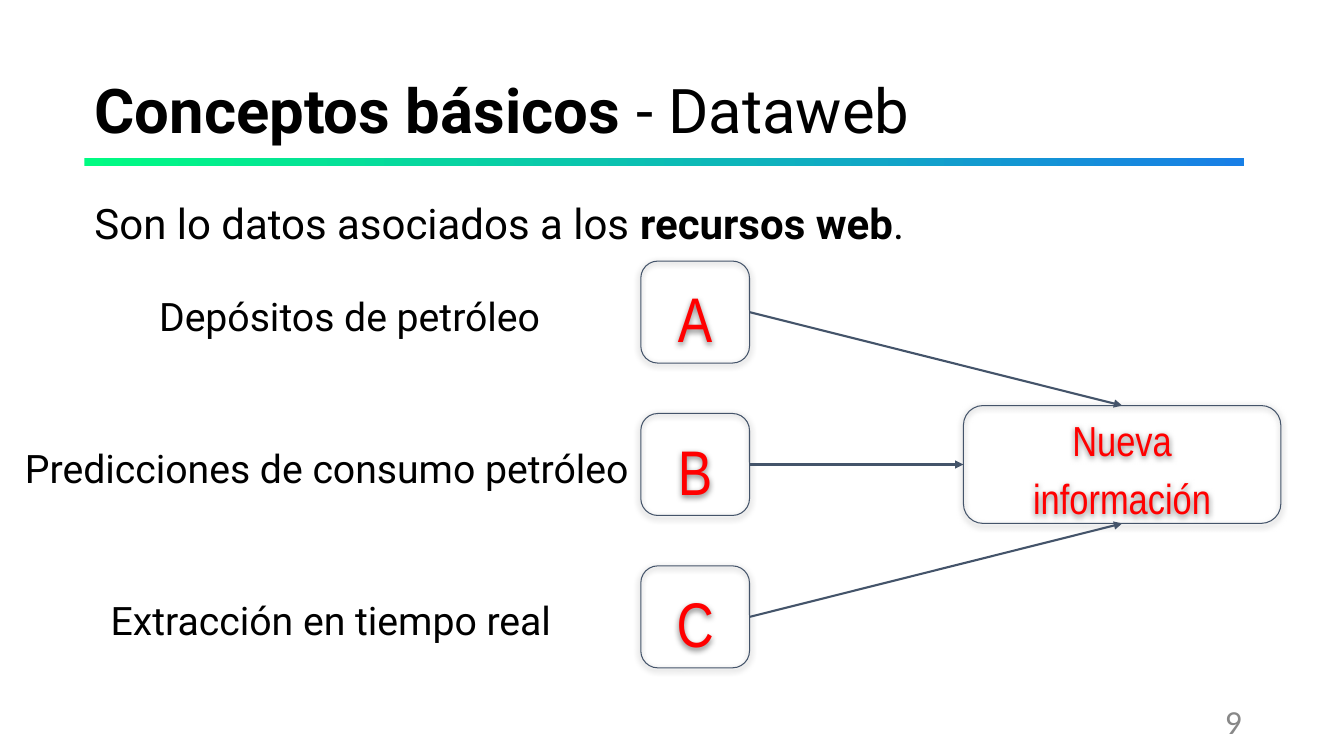
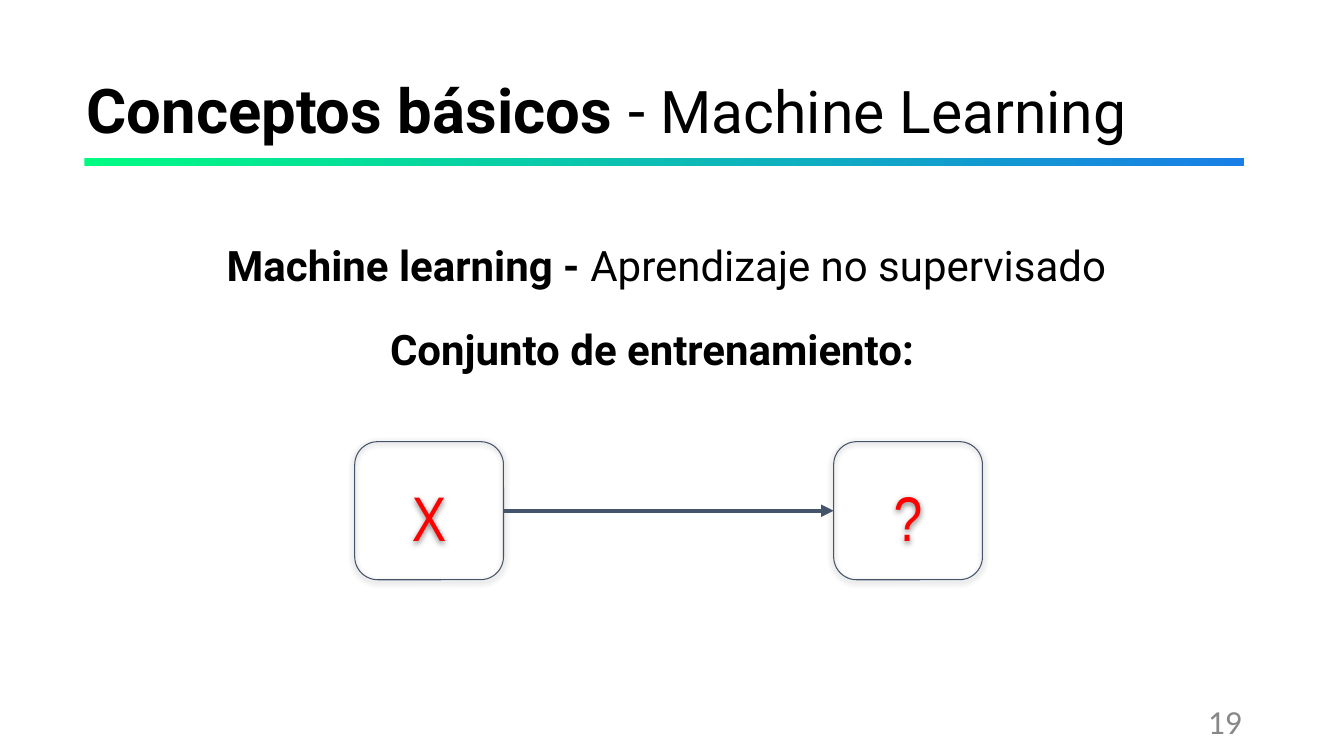
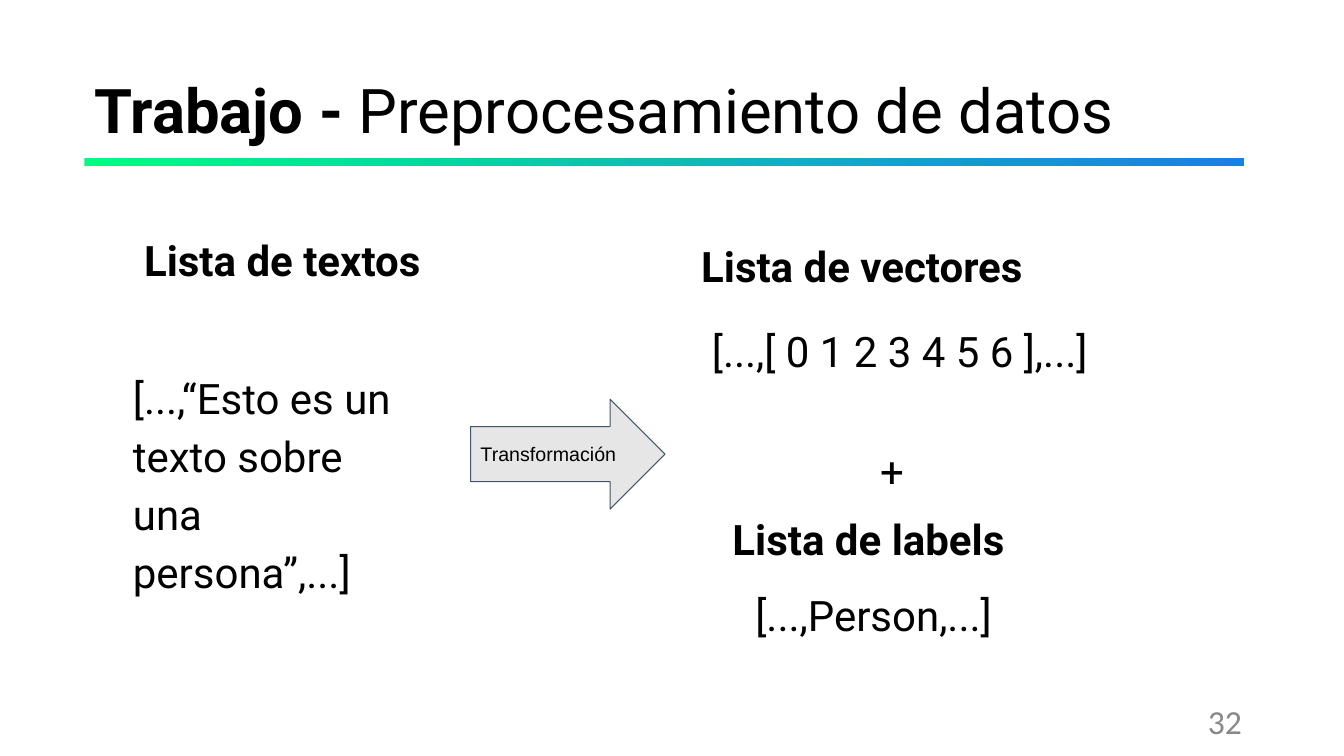
"""Build three slides on data concepts and text preprocessing."""
from dataclasses import dataclass

from lxml import etree
from pptx import Presentation
from pptx.dml.color import RGBColor
from pptx.enum.shapes import MSO_CONNECTOR, MSO_SHAPE
from pptx.enum.text import MSO_ANCHOR, MSO_AUTO_SIZE, PP_ALIGN
from pptx.oxml.ns import qn
from pptx.shapes.autoshape import Shape
from pptx.slide import Slide, SlideLayout
from pptx.text.text import TextFrame
from pptx.util import Cm, Pt

LEFT, CENTER, RIGHT = PP_ALIGN.LEFT, PP_ALIGN.CENTER, PP_ALIGN.RIGHT
TOP, MIDDLE = MSO_ANCHOR.TOP, MSO_ANCHOR.MIDDLE
ROUNDED, RECTANGLE, ARROW = (
    MSO_SHAPE.ROUNDED_RECTANGLE, MSO_SHAPE.RECTANGLE, MSO_SHAPE.RIGHT_ARROW)
STRAIGHT = MSO_CONNECTOR.STRAIGHT
NO_AUTOFIT = MSO_AUTO_SIZE.NONE
SITE_TOP, SITE_LEFT, SITE_BOTTOM, SITE_RIGHT = range(4)


@dataclass(frozen=True)
class Theme:
    """Colours, fonts and type sizes of the deck."""
    ink: RGBColor = RGBColor(0x00, 0x00, 0x00)
    accent: RGBColor = RGBColor(0xFF, 0x00, 0x00)
    outline: RGBColor = RGBColor(0x44, 0x54, 0x6A)
    muted: RGBColor = RGBColor(0x88, 0x88, 0x88)
    arrow: RGBColor = RGBColor(0xE7, 0xE6, 0xE6)
    rule_start: RGBColor = RGBColor(0x00, 0xFB, 0x82)
    rule_end: RGBColor = RGBColor(0x18, 0x7F, 0xE6)
    main_font: str = "Roboto"
    node_font: str = "Arial Narrow"
    number_font: str = "Calibri"
    arrow_font: str = "Arial"
    title_size: int = 44
    long_title_size: int = 42
    node_size: int = 45
    body_size: int = 30
    label_size: int = 28
    number_size: int = 24
    arrow_size: int = 14


THEME = Theme()


@dataclass(frozen=True)
class Box:
    """Place and size in centimetres."""
    left: float
    top: float
    width: float
    height: float


@dataclass(frozen=True)
class TextStyle:
    """Formatting shared by the runs of one paragraph."""
    size: int = THEME.body_size
    font: str = THEME.main_font
    color: RGBColor = THEME.ink
    align: PP_ALIGN = LEFT
    anchor: MSO_ANCHOR = TOP
    spacing: float = 1.15
    inset_x: float = 0.25
    inset_y: float = 0.13


@dataclass(frozen=True)
class Span:
    """A run of text with its weight and an optional size of its own."""
    text: str
    bold: bool = False
    size: int | None = None


@dataclass(frozen=True)
class Block:
    """A passage of text with its place and style."""
    box: Box
    style: TextStyle
    spans: tuple[Span, ...]


@dataclass(frozen=True)
class Source:
    """A labelled data source that feeds the new information."""
    letter: str
    label: str
    label_left: float
    label_width: float
    target_site: int


TITLE = TextStyle(size=THEME.title_size, anchor=MIDDLE, spacing=0.9)
BODY = TextStyle()
BODY_CENTERED = TextStyle(align=CENTER)
LABEL = TextStyle(size=THEME.label_size, inset_y=0.25)
SUBHEADING = TextStyle(inset_y=0.25)
NODE = TextStyle(size=THEME.node_size, font=THEME.node_font, color=THEME.accent,
                 align=CENTER, anchor=MIDDLE, inset_x=0.3, inset_y=0.25)
RESULT = TextStyle(size=THEME.body_size, font=THEME.node_font, color=THEME.accent,
                   align=CENTER, anchor=MIDDLE, inset_x=0.3, inset_y=0.25)
ARROW_TEXT = TextStyle(size=THEME.arrow_size, font=THEME.arrow_font,
                       anchor=MIDDLE, spacing=1.0, inset_y=0.25)
PAGE_NUMBER = TextStyle(size=THEME.number_size, font=THEME.number_font,
                        color=THEME.muted, align=RIGHT, anchor=MIDDLE, spacing=1.0)

TITLE_BOX = Box(2.13, 1.02, 29.21, 3.68)
WIDE_TITLE_BOX = Box(1.93, 1.02, 29.85, 3.68)
RULE_BOX = Box(2.13, 3.97, 29.21, 0.22)
NUMBER_BOX = Box(23.93, 17.65, 7.62, 1.02)

SOURCES = (
    Source("A", "Depósitos de petróleo", 3.76, 11.89, SITE_TOP),
    Source("B", "Predicciones de consumo petróleo", 0.38, 16, SITE_LEFT),
    Source("C", "Extracción en tiempo real", 2.54, 11.68, SITE_BOTTOM),
)

COMPARISON = (
    Block(Box(3.38, 5.59, 8.08, 2.59), BODY, (Span("Lista de textos", True),)),
    Block(Box(3.1, 9.07, 7.29, 7.37), BODY,
          (Span("[...,“Esto es un texto sobre una persona”,...]"),)),
    Block(Box(17.42, 5.74, 9.19, 1.57), BODY, (Span("Lista de vectores", True),)),
    Block(Box(17.42, 7.87, 10.52, 1.57), BODY_CENTERED,
          (Span("[...,[ 0 1 2 3 4 5 6 ],...]"),)),
)
LABEL_LIST = (
    Block(Box(18.67, 10.9, 7.62, 1.57), BODY_CENTERED, (Span("+"),)),
    Block(Box(18.21, 12.62, 8.08, 1.57), BODY, (Span("Lista de labels", True),)),
    Block(Box(18.21, 14.53, 7.62, 1.57), BODY_CENTERED, (Span("[...,Person,...]"),)),
)


def lengths(box: Box) -> tuple[Cm, Cm, Cm, Cm]:
    """Return a box as slide lengths."""
    return Cm(box.left), Cm(box.top), Cm(box.width), Cm(box.height)


def write(frame: TextFrame, style: TextStyle, *spans: Span) -> None:
    """Write one paragraph, run by run."""
    frame.word_wrap = True
    frame.auto_size = NO_AUTOFIT
    frame.vertical_anchor = style.anchor
    frame.margin_left = frame.margin_right = Cm(style.inset_x)
    frame.margin_top = frame.margin_bottom = Cm(style.inset_y)
    paragraph = frame.paragraphs[0]
    paragraph.alignment = style.align
    paragraph.line_spacing = style.spacing
    paragraph.space_before = Pt(0)
    for span in spans:
        run = paragraph.add_run()
        run.text = span.text
        run.font.name = style.font
        run.font.size = Pt(span.size or style.size)
        run.font.bold = span.bold
        run.font.color.rgb = style.color


def fill_placeholder(slide: Slide, index: int, block: Block) -> None:
    """Move a placeholder, fill it and switch its bullet off."""
    placeholder = slide.placeholders[index]
    (placeholder.left, placeholder.top,
     placeholder.width, placeholder.height) = lengths(block.box)
    write(placeholder.text_frame, block.style, *block.spans)
    properties = placeholder.text_frame.paragraphs[0]._p.get_or_add_pPr()
    properties.set("marL", "0")
    properties.set("indent", "0")
    etree.SubElement(properties, qn("a:buNone"))


def add_text(slide: Slide, block: Block) -> None:
    """Add a free text box."""
    text_box = slide.shapes.add_textbox(*lengths(block.box))
    write(text_box.text_frame, block.style, *block.spans)


def add_plain_shape(slide: Slide, kind: MSO_SHAPE, box: Box) -> Shape:
    """Add a preset shape without shadow."""
    shape = slide.shapes.add_shape(kind, *lengths(box))
    shape.shadow.inherit = False
    return shape


def outline(shape: Shape) -> None:
    """Give a shape the thin outline of the deck."""
    shape.line.color.rgb = THEME.outline
    shape.line.width = Pt(0.75)


def add_node(slide: Slide, box: Box, text: str, style: TextStyle = NODE) -> Shape:
    """Add an unfilled rounded box with a soft shadow."""
    node = add_plain_shape(slide, ROUNDED, box)
    node.fill.background()
    outline(node)
    effects = node._element.spPr.find(qn("a:effectLst"))
    shadow = etree.SubElement(effects, qn("a:outerShdw"), blurRad=str(Pt(4.5)),
                              dist=str(Pt(1.5)), dir="5400000",
                              algn="bl", rotWithShape="0")
    shade = etree.SubElement(shadow, qn("a:srgbClr"), val="000000")
    etree.SubElement(shade, qn("a:alpha"), val="50000")
    write(node.text_frame, style, Span(text))
    return node


def join(slide: Slide, origin: Shape, target: Shape, site: int, weight: float) -> None:
    """Draw an arrow from the right side of one box to a side of another."""
    connector = slide.shapes.add_connector(STRAIGHT, 0, 0, 0, 0)
    connector.begin_connect(origin, SITE_RIGHT)
    connector.end_connect(target, site)
    connector.line.color.rgb = THEME.outline
    connector.line.width = Pt(weight)
    etree.SubElement(connector.line._get_or_add_ln(), qn("a:tailEnd"), type="triangle")
    etree.SubElement(connector._element.spPr, qn("a:effectLst"))


def start_slide(deck: Presentation, layout: SlideLayout, number: int,
                title_box: Box, *title: Span) -> Slide:
    """Add a slide with its title, gradient rule and page number."""
    slide = deck.slides.add_slide(layout)
    fill_placeholder(slide, 0, Block(title_box, TITLE, title))
    rule = add_plain_shape(slide, RECTANGLE, RULE_BOX)
    rule.line.fill.background()
    rule.fill.gradient()
    rule.fill.gradient_angle = 0
    for stop, color in zip(rule.fill.gradient_stops, (THEME.rule_start, THEME.rule_end)):
        stop.color.rgb = color
    add_text(slide, Block(NUMBER_BOX, PAGE_NUMBER, (Span(str(number)),)))
    return slide


def build_dataweb(deck: Presentation) -> None:
    """Show three web sources merging into new information."""
    slide = start_slide(deck, deck.slide_layouts[1], 9, TITLE_BOX,
                        Span("Conceptos básicos ", True), Span("- Dataweb"))
    fill_placeholder(slide, 1, Block(
        Box(2.13, 4.65, 29.21, 1.5), BODY,
        (Span("Son lo datos asociados a los "), Span("recursos web", True), Span("."))))
    result = add_node(slide, Box(24.28, 10.22, 8, 2.97), "Nueva información", RESULT)
    for row, source in enumerate(SOURCES):
        top = 6.58 + row * 3.84
        add_text(slide, Block(Box(source.label_left, top + 0.35, source.label_width, 1.88),
                              LABEL, (Span(source.label),)))
        node = add_node(slide, Box(16.15, top, 2.74, 2.57), source.letter)
        join(slide, node, result, source.target_site, 1.5)


def build_machine_learning(deck: Presentation) -> None:
    """Show the training set of unsupervised learning."""
    slide = start_slide(deck, deck.slide_layouts[1], 19, WIDE_TITLE_BOX,
                        Span("Conceptos básicos ", True), Span("- "),
                        Span("Machine Learning", size=THEME.long_title_size))
    fill_placeholder(slide, 1, Block(
        Box(5.26, 5.72, 23.34, 1.47), BODY_CENTERED,
        (Span("Machine learning - ", True), Span("Aprendizaje no supervisado "))))
    add_text(slide, Block(Box(9.58, 7.72, 14.73, 1.63), SUBHEADING,
                          (Span("Conjunto de entrenamiento:", True),)))
    sample, unknown = (add_node(slide, Box(left, 11.13, 3.75, 3.48), text)
                       for left, text in ((8.94, "X"), (21.01, "?")))
    join(slide, sample, unknown, SITE_LEFT, 3)


def build_preprocessing(deck: Presentation) -> None:
    """Show texts turned into vectors and labels."""
    slide = start_slide(deck, deck.slide_layouts[4], 32, TITLE_BOX,
                        Span("Trabajo - ", True), Span("Preprocesamiento de datos"))
    for index, block in enumerate(COMPARISON, start=1):
        fill_placeholder(slide, index, block)
    for block in LABEL_LIST:
        add_text(slide, block)
    transformation = add_plain_shape(slide, ARROW, Box(11.86, 10.06, 4.9, 2.77))
    transformation.fill.solid()
    transformation.fill.fore_color.rgb = THEME.arrow
    outline(transformation)
    write(transformation.text_frame, ARROW_TEXT, Span("Transformación"))


def main() -> None:
    """Build and save the deck."""
    deck = Presentation()
    deck.slide_width, deck.slide_height = Cm(33.87), Cm(19.05)
    build_dataweb(deck)
    build_machine_learning(deck)
    build_preprocessing(deck)
    deck.save("out.pptx")


if __name__ == "__main__":
    main()
